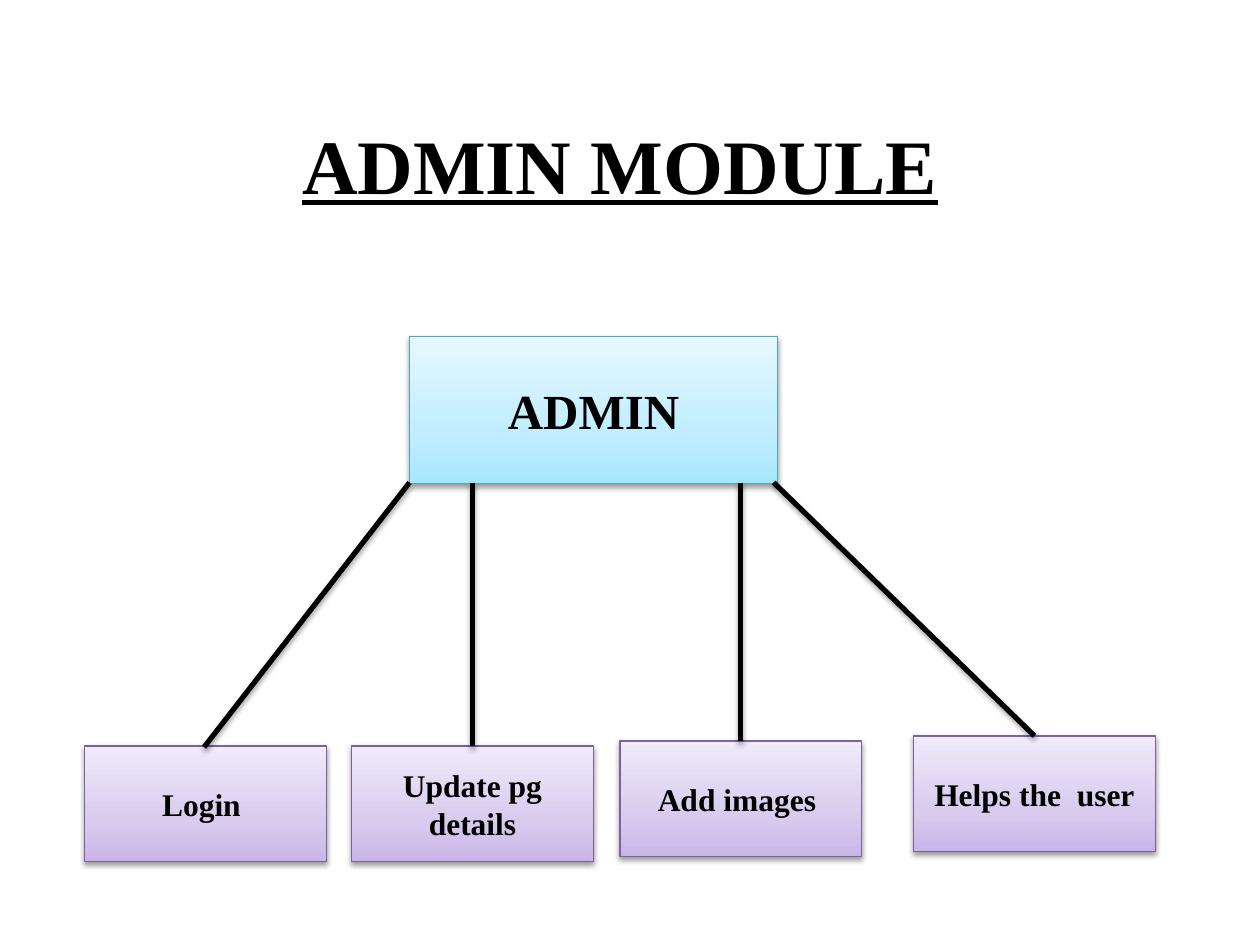
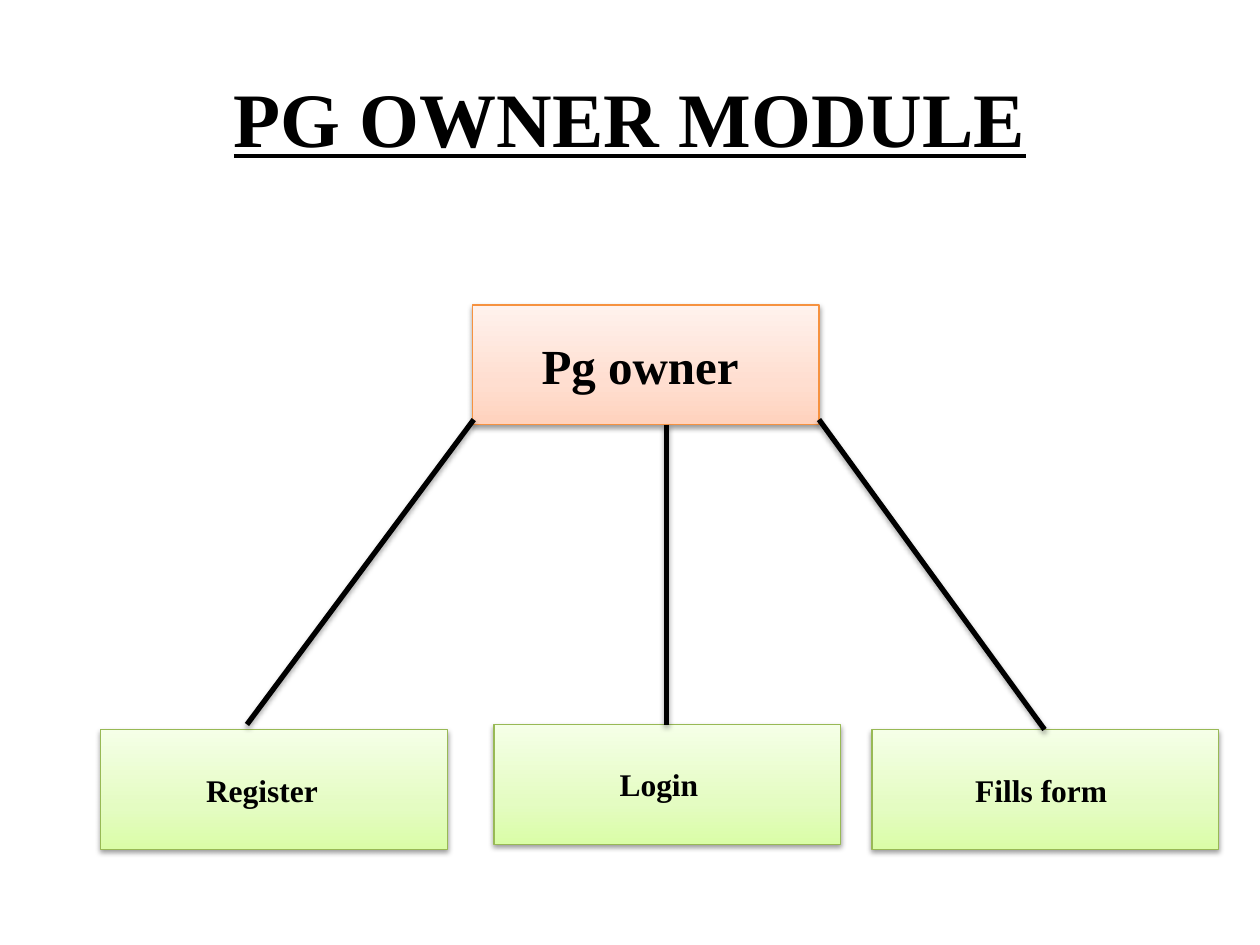
"""Builds two module diagrams, each with one role linked to its tasks."""
from dataclasses import dataclass

from pptx import Presentation
from pptx.dml.color import RGBColor
from pptx.enum.shapes import MSO_CONNECTOR, MSO_SHAPE
from pptx.enum.text import MSO_ANCHOR, PP_ALIGN
from pptx.oxml import parse_xml
from pptx.oxml.ns import nsdecls
from pptx.util import Inches, Pt

FONT = "Times New Roman"
BLACK = RGBColor(0, 0, 0)
Point = tuple[float, float]


@dataclass(frozen=True)
class Palette:
    bottom: RGBColor
    middle: RGBColor
    top: RGBColor
    border: RGBColor


@dataclass(frozen=True)
class Task:
    label: str
    corner: Point
    link_start: Point
    link_end: Point
    right_gap: float = 0


@dataclass(frozen=True)
class Module:
    title: str
    title_corner: Point
    role: str
    role_corner: Point
    role_size: Point
    role_palette: Palette
    task_size: Point
    task_palette: Palette
    tasks: tuple[Task, ...]


def palette(bottom: str, middle: str, top: str, border: str) -> Palette:
    return Palette(*map(RGBColor.from_string, (bottom, middle, top, border)))


BLUE = palette("A7E6FF", "C1EDFF", "E7F8FF", "46AAC5")
PURPLE = palette("C9B5E8", "D8CBEE", "F0EAF9", "7D60A0")
ORANGE = palette("FFD2BD", "FFDED0", "FFF2ED", "F69240")
GREEN = palette("DAFDA7", "E4FCC2", "F5FFE7", "98B955")

MODULES = (
    Module(
        "ADMIN MODULE", (0.42, 0.67),
        "ADMIN", (3.25, 2.67), (2.92, 1.17), BLUE,
        (1.92, 0.92), PURPLE,
        (
            Task("Login ", (0.67, 5.92), (3.25, 3.83), (1.62, 5.93)),
            Task("Update pg details", (2.79, 5.92), (3.75, 3.83), (3.75, 5.92)),
            Task("Add images ", (4.92, 5.88), (5.88, 3.83), (5.88, 5.88)),
            Task("Helps the  user", (7.25, 5.84), (6.14, 3.83), (8.21, 5.84)),
        ),
    ),
    Module(
        "PG OWNER MODULE", (0.5, 0.3),
        "Pg owner ", (3.75, 2.42), (2.75, 0.95), ORANGE,
        (2.75, 0.95), GREEN,
        (
            Task("Register", (0.8, 5.79), (3.76, 3.33), (1.96, 5.75), 0.19),
            Task("Login", (3.92, 5.75), (5.29, 3.37), (5.29, 5.75), 0.13),
            Task("Fills form ", (6.92, 5.79), (6.5, 3.33), (8.29, 5.79)),
        ),
    ),
)


def add_shadow(item, opacity: int, distance: float) -> None:
    item._element.spPr.append(parse_xml(
        f'<a:effectLst {nsdecls("a")}><a:outerShdw blurRad="{Pt(3.1)}" '
        f'dist="{Pt(distance)}" dir="5400000" rotWithShape="0">'
        f'<a:srgbClr val="{BLACK}"><a:alpha val="{opacity * 1000}"/></a:srgbClr>'
        '</a:outerShdw></a:effectLst>'))


def set_gradient(box, colours: Palette) -> None:
    stops = "".join(
        f'<a:gs pos="{percent * 1000}"><a:srgbClr val="{colour}"/></a:gs>'
        for percent, colour in ((0, colours.bottom), (35, colours.middle), (100, colours.top)))
    box._element.spPr.insert(2, parse_xml(
        f'<a:gradFill {nsdecls("a")} rotWithShape="1"><a:gsLst>{stops}</a:gsLst>'
        '<a:lin ang="16200000" scaled="0"/></a:gradFill>'))


def write(holder, text: str, size: int, underline: bool = False) -> None:
    frame = holder.text_frame
    frame.text = text
    frame.word_wrap = True
    frame.vertical_anchor = MSO_ANCHOR.MIDDLE
    paragraph = frame.paragraphs[0]
    paragraph.alignment = PP_ALIGN.CENTER
    font = paragraph.runs[0].font
    font.name, font.size, font.bold = FONT, Pt(size), True
    font.color.rgb = BLACK
    if underline:
        font.underline = True


def add_title(slide, text: str, corner: Point) -> None:
    title = slide.shapes.add_textbox(*map(Inches, (*corner, 9, 1.25)))
    write(title, text, 44, underline=True)


def add_box(slide, text: str, corner: Point, extent: Point, colours: Palette,
            size: int, right_gap: float = 0) -> None:
    box = slide.shapes.add_shape(MSO_SHAPE.RECTANGLE, *map(Inches, (*corner, *extent)))
    set_gradient(box, colours)
    box.line.color.rgb = colours.border
    box.line.width = Pt(0.75)
    add_shadow(box, 38, 1.6)
    write(box, text, size)
    box.text_frame.margin_right = Inches(0.1 + right_gap)


def add_link(slide, start: Point, end: Point) -> None:
    link = slide.shapes.add_connector(MSO_CONNECTOR.STRAIGHT, *map(Inches, (*start, *end)))
    link.line.color.rgb = BLACK
    link.line.width = Pt(3)
    add_shadow(link, 35, 1.8)


def add_module(deck, module: Module) -> None:
    slide = deck.slides.add_slide(deck.slide_layouts[6])
    add_title(slide, module.title, module.title_corner)
    add_box(slide, module.role, module.role_corner, module.role_size, module.role_palette, 28)
    for task in module.tasks:
        add_box(slide, task.label, task.corner, module.task_size, module.task_palette,
                18, task.right_gap)
    for task in module.tasks:
        add_link(slide, task.link_start, task.link_end)


def main() -> None:
    deck = Presentation()
    deck.slide_width, deck.slide_height = Inches(10), Inches(7.5)
    for module in MODULES:
        add_module(deck, module)
    deck.save("out.pptx")


main()
